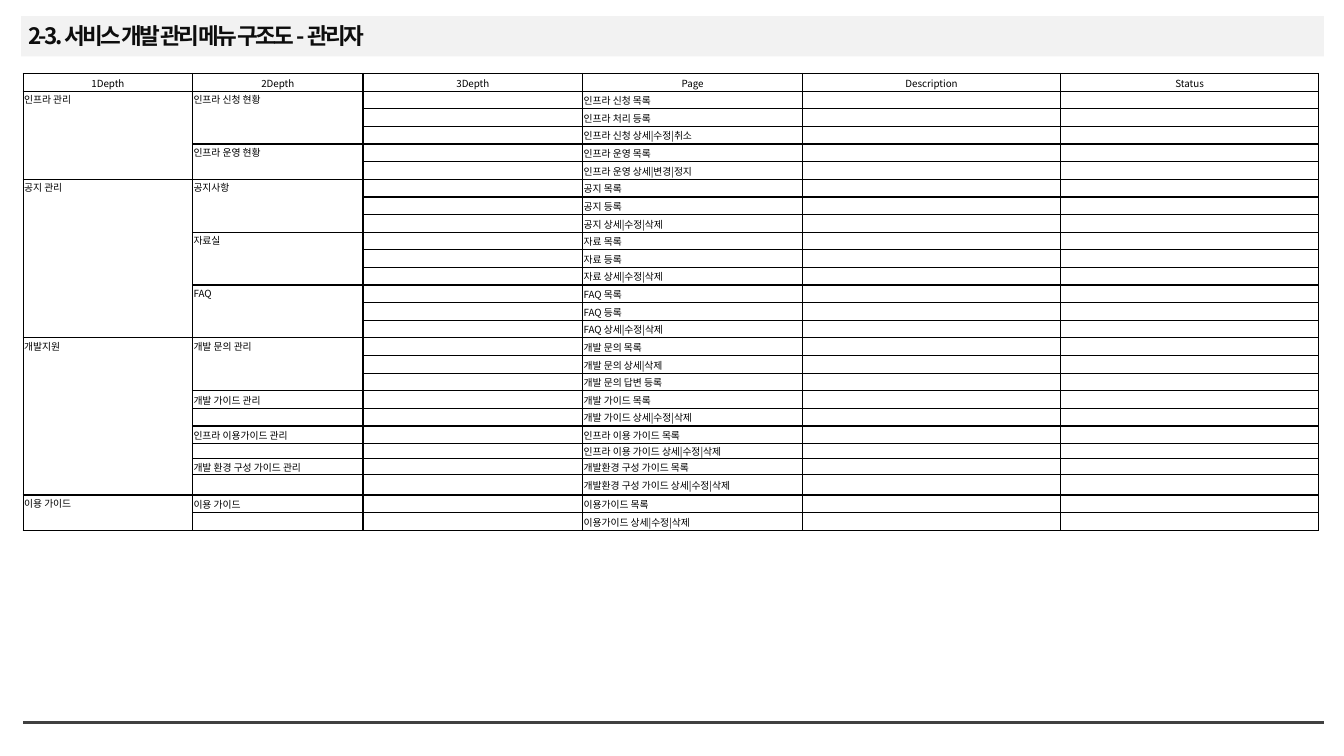
from lxml.etree import SubElement
from pptx import Presentation
from pptx.dml.color import RGBColor
from pptx.enum.shapes import MSO_CONNECTOR, MSO_SHAPE
from pptx.enum.text import MSO_ANCHOR, PP_ALIGN
from pptx.oxml import parse_xml
from pptx.oxml.ns import nsdecls, qn
from pptx.util import Inches, Pt

FONT = "Noto Sans CJK KR"
COLORS = {"band": "F2F2F2", "rule": "404040", "title": "0D0D0D", "grid": "000000"}
TITLE_FORMAT = {"name": FONT, "size": Pt(16.1), "bold": True}
CELL_FORMAT = {"name": FONT, "size": Pt(7), "bold": False}
CELL_INSETS = {"margin_left": Inches(0.01), "margin_right": Inches(0.01),
               "margin_top": Inches(0.01), "margin_bottom": 0}

HEADERS = ["1Depth", "2Depth", "3Depth", "Page", "Description", "Status"]
COL_WIDTHS = [1.68, 1.69, 2.18, 2.18, 2.56, 2.56]
ROW_HEIGHT = 0.175
SPECIAL_HEIGHTS = {21: 0.15, 22: 0.16, 23: 0.2}

# 1Depth, then (2Depth, merged over its pages, pages)
MENU = [
    ("인프라 관리", [
        ("인프라 신청 현황", True,
         ["인프라 신청 목록", "인프라 처리 등록", "인프라 신청 상세|수정|취소"]),
        ("인프라 운영 현황", True, ["인프라 운영 목록", "인프라 운영 상세|변경|정지"]),
    ]),
    ("공지 관리", [
        ("공지사항", True, ["공지 목록", "공지 등록", "공지 상세|수정|삭제"]),
        ("자료실", True, ["자료 목록", "자료 등록", "자료 상세|수정|삭제"]),
        ("FAQ", True, ["FAQ 목록", "FAQ 등록", "FAQ 상세|수정|삭제"]),
    ]),
    ("개발지원", [
        ("개발 문의 관리", True,
         ["개발 문의 목록", "개발 문의 상세|삭제", "개발 문의 답변 등록"]),
        ("개발 가이드 관리", False, ["개발 가이드 목록", "개발 가이드 상세|수정|삭제"]),
        ("인프라 이용가이드 관리", False,
         ["인프라 이용 가이드 목록", "인프라 이용 가이드 상세|수정|삭제"]),
        ("개발 환경 구성 가이드 관리", False,
         ["개발환경 구성 가이드 목록", "개발환경 구성 가이드 상세|수정|삭제"]),
    ]),
    ("이용 가이드", [
        ("이용 가이드", False, ["이용가이드 목록", "이용가이드 상세|수정|삭제"]),
    ]),
]


def rgb(name):
    return RGBColor.from_string(COLORS[name])


def set_attrs(obj, values):
    for name, value in values.items():
        setattr(obj, name, value)


def add_text(p, text, fmt, color):
    r = p.add_run()
    r.text = text
    set_attrs(r.font, fmt)
    r.font.color.rgb = rgb(color)
    SubElement(r.font._element, qn("a:ea"), typeface=FONT)
    return r


def add_title(slide, left, top, width, height):
    # Grey band
    sp = slide.shapes.add_shape(MSO_SHAPE.RECTANGLE, Inches(left), Inches(top),
                                Inches(width), Inches(height))
    sp.shadow.inherit = False
    sp.fill.solid()
    sp.fill.fore_color.rgb = rgb("band")
    sp.line.fill.background()

    # Title text
    tf = slide.shapes.add_textbox(Inches(left + 0.02), Inches(top + 0.02),
                                  Inches(9.49), Inches(height - 0.02)).text_frame
    sides = ("left", "right", "top", "bottom")
    set_attrs(tf, {f"margin_{side}": Inches(0.05) for side in sides})
    set_attrs(tf, {"word_wrap": True, "vertical_anchor": MSO_ANCHOR.MIDDLE})
    p = tf.paragraphs[0]
    p.line_spacing = 0.9
    r = add_text(p, "2-3. 서비스 개발 관리 메뉴 구조도 - 관리자", TITLE_FORMAT, "title")
    r.font._element.set("spc", "-190")


def add_footer_rule(slide, left, top, width):
    line = slide.shapes.add_connector(MSO_CONNECTOR.STRAIGHT, Inches(left), Inches(top),
                                      Inches(left + width), Inches(top))
    line.line.color.rgb = rgb("rule")
    line.line.width = Pt(2.25)
    SubElement(line._element.spPr, qn("a:effectLst"))


def format_cell(cell):
    set_attrs(cell, CELL_INSETS)
    cell.vertical_anchor = MSO_ANCHOR.MIDDLE
    cell.fill.background()
    tcPr = cell._tc.get_or_add_tcPr()
    for i, side in enumerate("LRTB"):
        tcPr.insert(i, parse_xml(
            f'<a:ln{side} {nsdecls("a")} w="12700"><a:solidFill>'
            f'<a:srgbClr val="{COLORS["grid"]}"/></a:solidFill></a:ln{side}>'))
    # Keeps empty cells as low as the filled ones
    SubElement(cell.text_frame.paragraphs[0]._p, qn("a:endParaRPr"), sz="700")


def fill_cell(cell, text):
    p = cell.text_frame.paragraphs[0]
    add_text(p, text, CELL_FORMAT, "grid")
    return p


def merge_down(table, row, col, count):
    cell = table.cell(row, col)
    cell.merge(table.cell(row + count - 1, col))
    cell.vertical_anchor = MSO_ANCHOR.TOP


def add_menu_table(slide, left, top):
    row_count = 1 + sum(len(pages) for _, groups in MENU for _, _, pages in groups)
    heights = [SPECIAL_HEIGHTS.get(i, ROW_HEIGHT) for i in range(row_count)]
    table = slide.shapes.add_table(row_count, len(HEADERS), Inches(left), Inches(top),
                                   Inches(sum(COL_WIDTHS)), Inches(sum(heights))).table
    set_attrs(table, {"first_row": False, "horz_banding": False})
    for col, width in zip(table.columns, COL_WIDTHS):
        col.width = Inches(width)
    for row, height in zip(table.rows, heights):
        row.height = Inches(height)
    for cell in table.iter_cells():
        format_cell(cell)

    # Header row
    for col, header in enumerate(HEADERS):
        fill_cell(table.cell(0, col), header).alignment = PP_ALIGN.CENTER

    # Menu rows
    row = 1
    for section, groups in MENU:
        fill_cell(table.cell(row, 0), section)
        merge_down(table, row, 0, sum(len(pages) for _, _, pages in groups))
        for group, merged, pages in groups:
            fill_cell(table.cell(row, 1), group)
            if merged:
                merge_down(table, row, 1, len(pages))
            for page in pages:
                fill_cell(table.cell(row, 3), page)
                row += 1


def main():
    prs = Presentation()
    prs.slide_width, prs.slide_height = Inches(13.33), Inches(7.5)
    slide = prs.slides.add_slide(prs.slide_layouts[6])
    add_title(slide, 0.21, 0.16, 12.92, 0.4)
    add_footer_rule(slide, 0.23, 7.17, 12.9)
    add_menu_table(slide, 0.23, 0.73)
    prs.save("out.pptx")


if __name__ == "__main__":
    main()
